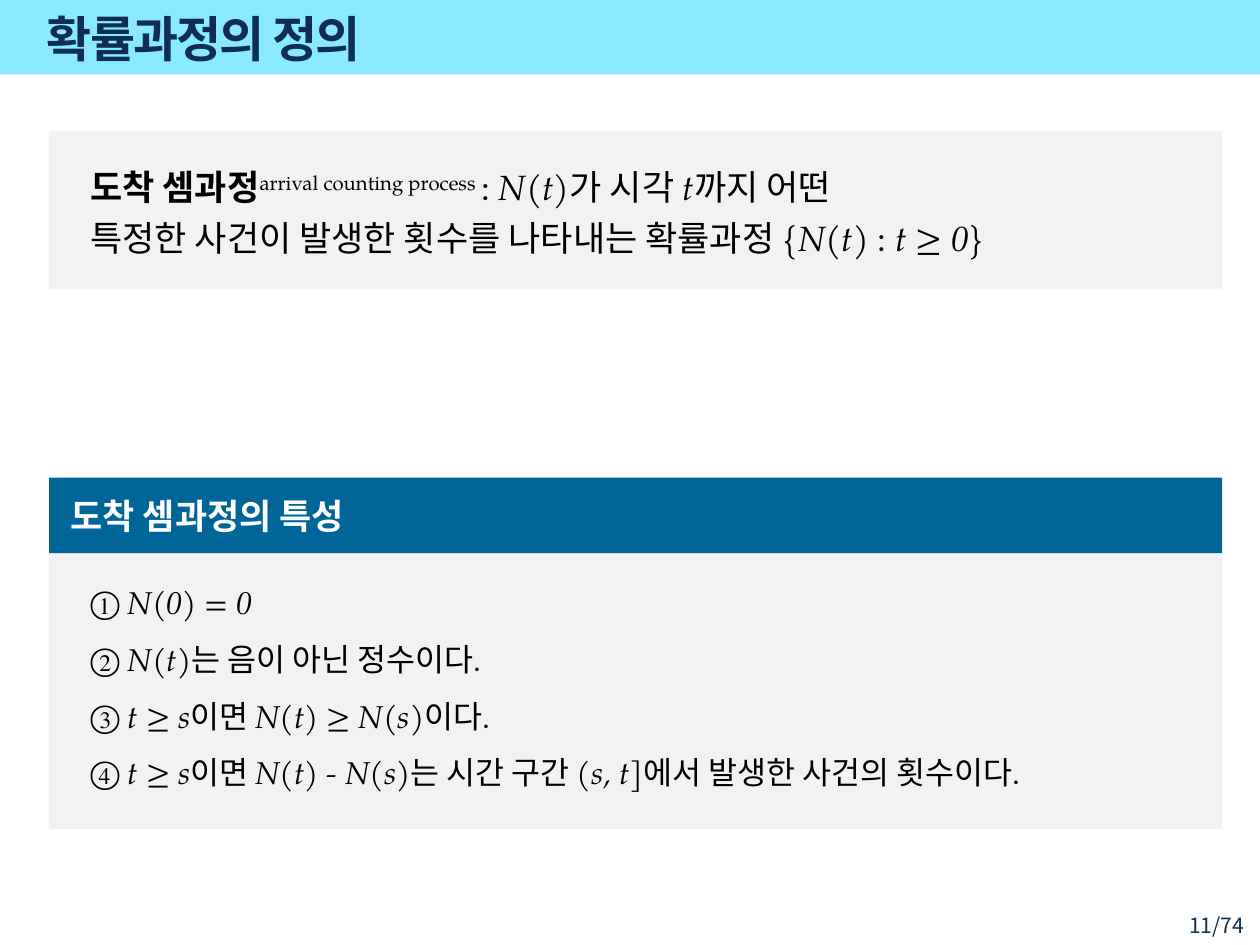
from pptx import Presentation
from pptx import util as u
from pptx.dml.color import RGBColor
from pptx.enum import shapes, text
from lxml import etree

COLOURS = {
    "sky": "8BE9FF",
    "navy": "0F2E53",
    "panel": "F2F2F2",
    "blue": "006699",
    "white": "FFFFFF",
    "black": "000000",
}
SERIF = "TeX Gyre Pagella"
SANS = "Noto Sans CJK KR"
PANEL_LEFT, PANEL_WIDTH = 0.99, 23.65
TEXT_LEFT = 1.57

DEFINITION = [
    [("도착 셈과정", "bold"), ("arrival counting process ", "superscript"),
     (": ", ""), ("N(t)", "italic"), ("가 시각 ", ""), ("t", "italic"),
     ("까지 어떤", "")],
    [("특정한 사건이 발생한 횟수를 나타내는 확률과정 {", ""),
     ("N(t) ", "italic"), (":", ""), (" t ", "italic"), ("≥ ", ""),
     ("0", "italic"), ("}", "")],
]
PROPERTIES = [
    [("① ", ""), ("N(0) = 0", "italic")],
    [("② ", ""), ("N(t)", "italic"), ("는 음이 아닌 정수이다.", "")],
    [("③ ", ""), ("t ≥ s", "italic"), ("이면 ", ""),
     ("N(t) ≥ N(s)", "italic"), ("이다.", "")],
    [("④ ", ""), ("t ≥ s", "italic"), ("이면 ", ""),
     ("N(t) - N(s)", "italic"), ("는 시간 구간 ", ""), ("(s, t", "italic"),
     ("]에서 발생한 사건의 횟수이다.", "")],
]


def set_font(paragraph, size, colour, name=SERIF, bold=False):
    font = paragraph.font
    font.name = name
    font.size = u.Pt(size)
    font.bold = bold
    font.color.rgb = RGBColor.from_string(COLOURS[colour])


def place(shape, left, top, width, height):
    shape.left, shape.top = u.Cm(left), u.Cm(top)
    shape.width, shape.height = u.Cm(width), u.Cm(height)


def add_panel(slide, left, top, width, height, colour):
    panel = slide.shapes.add_shape(
        shapes.MSO_SHAPE.RECTANGLE,
        u.Cm(left), u.Cm(top), u.Cm(width), u.Cm(height))
    panel.shadow.inherit = False
    panel.fill.solid()
    panel.fill.fore_color.rgb = RGBColor.from_string(COLOURS[colour])
    panel.line.fill.background()
    return panel


def add_text_box(slide, left, top, width, height):
    box = slide.shapes.add_textbox(
        u.Cm(left), u.Cm(top), u.Cm(width), u.Cm(height))
    box.text_frame.word_wrap = True
    return box.text_frame


def remove_bullet(paragraph):
    properties = paragraph._p.get_or_add_pPr()
    properties.set("marL", "0")
    properties.set("indent", "0")
    namespace = properties.nsmap["a"]
    bullet = etree.Element(f"{{{namespace}}}buNone")
    properties.find(f"{{{namespace}}}defRPr").addprevious(bullet)


def write_lines(frame, lines, size, spacing):
    for index, line in enumerate(lines):
        paragraph = frame.add_paragraph() if index else frame.paragraphs[0]
        paragraph.line_spacing = spacing
        paragraph.space_before = u.Pt(0)
        set_font(paragraph, size, "black")
        remove_bullet(paragraph)
        for words, style in line:
            run = paragraph.add_run()
            run.text = words
            if style == "bold":
                run.font.bold = True
            elif style == "italic":
                run.font.italic = True
            elif style == "superscript":
                run._r.get_or_add_rPr().set("baseline", "30000")


def write_title(slide):
    title = slide.shapes.title
    place(title, 0.69, 0.1, 21.11, 1.32)
    frame = title.text_frame
    frame.text = "확률과정의 정의"
    frame.auto_size = text.MSO_AUTO_SIZE.NONE
    frame.vertical_anchor = text.MSO_ANCHOR.MIDDLE
    paragraph = frame.paragraphs[0]
    paragraph.alignment = text.PP_ALIGN.LEFT
    set_font(paragraph, 28, "navy", bold=True)
    paragraph.runs[0]._r.get_or_add_rPr().set("spc", "-100")


def write_page_number(slide):
    frame = add_text_box(slide, 22.99, 18.34, 2.34, 0.58)
    frame.margin_top = frame.margin_bottom = u.Cm(0.05)
    frame.text = "11/74"
    paragraph = frame.paragraphs[0]
    paragraph.alignment = text.PP_ALIGN.RIGHT
    set_font(paragraph, 12, "navy", SANS)


def write_heading(slide):
    heading = add_panel(slide, PANEL_LEFT, 9.63, PANEL_WIDTH, 1.52, "blue")
    frame = heading.text_frame
    frame.margin_left = u.Cm(0.43)
    frame.vertical_anchor = text.MSO_ANCHOR.MIDDLE
    frame.text = "도착 셈과정의 특성"
    paragraph = frame.paragraphs[0]
    paragraph.alignment = text.PP_ALIGN.LEFT
    set_font(paragraph, 20, "white", bold=True)


def write_properties(slide):
    body = slide.placeholders[1]
    place(body, TEXT_LEFT, 11.25, 20.9, 4.88)
    body.text_frame.auto_size = text.MSO_AUTO_SIZE.NONE
    write_lines(body.text_frame, PROPERTIES, 18, 1.5)
    slide.shapes._spTree.append(body._element)


def main():
    presentation = Presentation()
    presentation.slide_width = u.Cm(25.4)
    presentation.slide_height = u.Cm(19.05)
    slide = presentation.slides.add_slide(presentation.slide_layouts[1])

    add_panel(slide, 0, -0.05, 25.4, 1.55, "sky")
    write_page_number(slide)
    write_title(slide)
    slide.shapes._spTree.append(slide.shapes.title._element)

    add_panel(slide, PANEL_LEFT, 2.64, PANEL_WIDTH, 3.18, "panel")
    definition = add_text_box(slide, TEXT_LEFT, 3.05, 21.51, 2.24)
    write_lines(definition, DEFINITION, 20, 1.2)

    add_panel(slide, PANEL_LEFT, 11.15, PANEL_WIDTH, 5.56, "panel")
    write_heading(slide)
    write_properties(slide)
    presentation.save("out.pptx")


if __name__ == "__main__":
    main()
